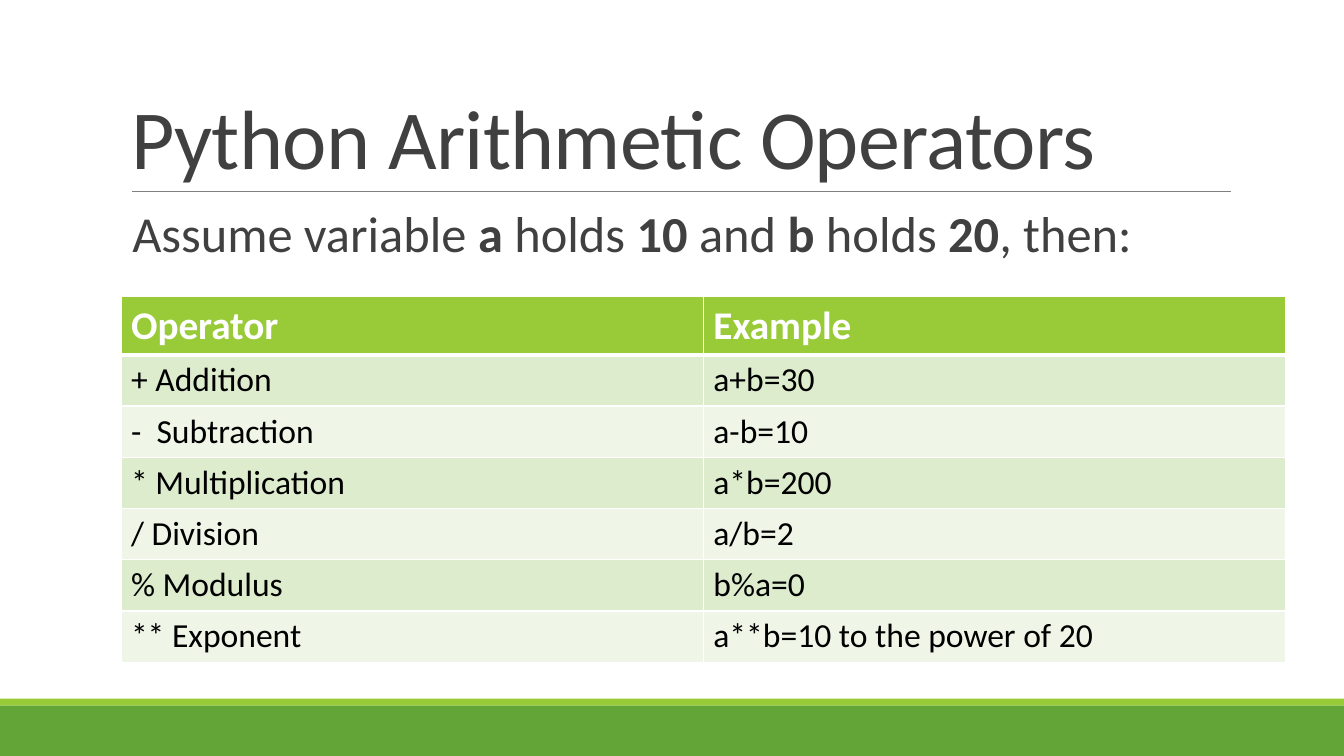
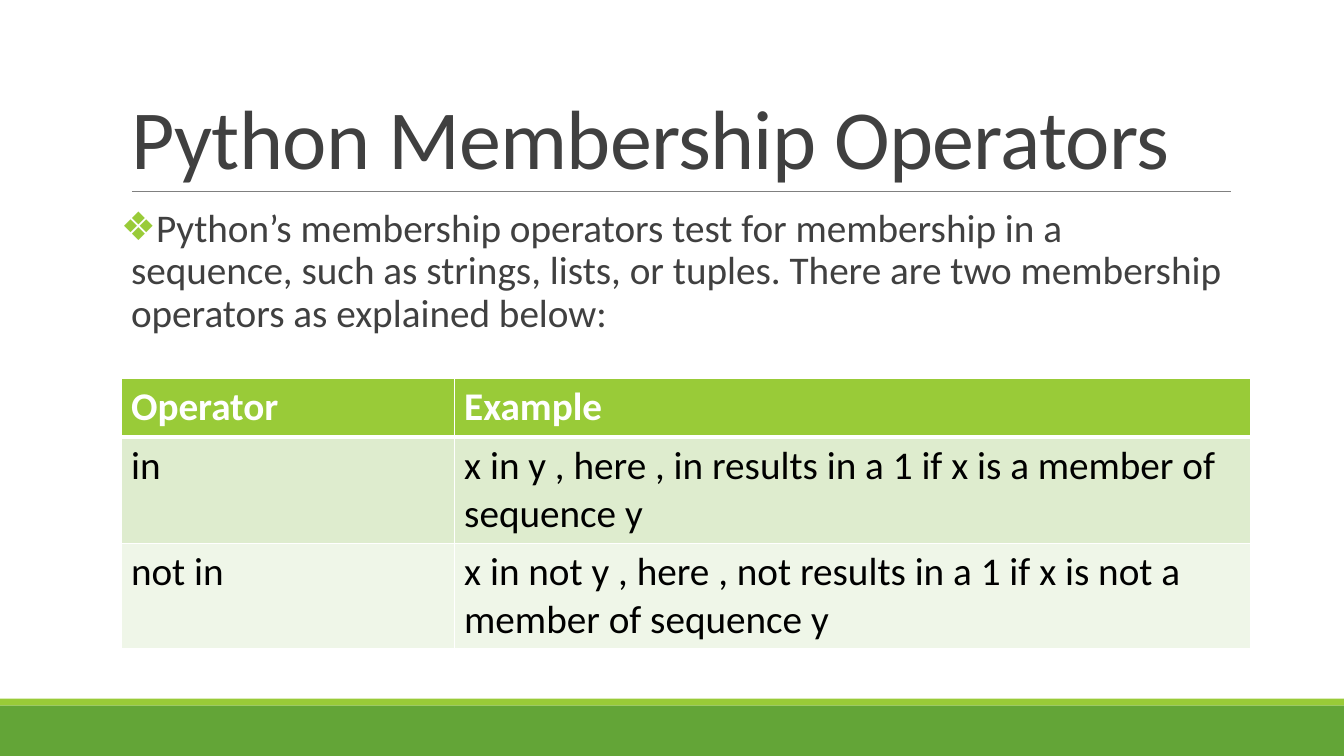
from lxml.etree import SubElement as Sub
from pptx import Presentation as Deck
from pptx.dml.color import RGBColor as Color
from pptx.enum.shapes import MSO_CONNECTOR as Link, MSO_SHAPE as Shape
from pptx.enum.text import MSO_ANCHOR as Anchor, MSO_AUTO_SIZE as Fit, PP_ALIGN as Align
from pptx.oxml.ns import qn
from pptx.util import Pt

GREEN = Color(0x63, 0xA5, 0x37)
LIME = Color(0x99, 0xCB, 0x38)
DARK = Color(0x40, 0x40, 0x40)
GREY = Color(0x80, 0x80, 0x80)
BLACK = Color(0, 0, 0)
WHITE = Color(0xFF, 0xFF, 0xFF)
TINTS = (Color(0xDE, 0xEC, 0xCE), Color(0xEF, 0xF6, 0xE8))

FONT = "Calibri"
WIDE, HIGH = 960, 540
LEFT = 86.4
TITLE = (LEFT, 22.5, 792, 114.5)
BODY_TOP, BODY_WIDE = 145.3, 792


def place(shape, box):
    shape.left, shape.top, shape.width, shape.height = map(Pt, box)


def add_run(para, text, size, color, bold=False):
    run = para.add_run()
    run.text = text
    font = run.font
    font.name, font.size, font.bold = FONT, Pt(size), bold
    font.color.rgb = color
    return run


def add_frame(slide, layout):
    """Build the bands and title rule, then move them to the shared layout."""
    bands = ((499, 5, LIME), (504, 36, GREEN))
    parts = []
    for top, high, color in bands:
        band = slide.shapes.add_shape(
            Shape.RECTANGLE, Pt(0), Pt(top), Pt(WIDE), Pt(high))
        band.shadow.inherit = False
        band.fill.solid()
        band.fill.fore_color.rgb = color
        band.line.fill.background()
        parts.append(band)
    rule = slide.shapes.add_connector(
        Link.STRAIGHT, Pt(94.3), Pt(136.8), Pt(879), Pt(136.8))
    rule.line.color.rgb = GREY
    rule.line.width = Pt(0.5)
    Sub(rule.element.spPr, qn("a:effectLst"))
    for part in parts + [rule]:
        layout.shapes.element.append(part.element)


def add_title(slide, box, text):
    title = slide.shapes.title
    place(title, box)
    frame = title.text_frame
    frame.word_wrap, frame.auto_size = True, Fit.NONE
    frame.vertical_anchor = Anchor.BOTTOM
    para = frame.paragraphs[0]
    para.alignment, para.line_spacing = Align.LEFT, 0.85
    run = add_run(para, text, 60, DARK)
    run.font._element.set("spc", "-50")


def add_bullet(para, mark):
    props = para._p.get_or_add_pPr()
    props.set("marL", str(Pt(7.2)))
    props.set("indent", str(Pt(-7.2)))
    tint = Sub(props, qn("a:buClr"))
    Sub(tint, qn("a:srgbClr"), val=str(LIME))
    Sub(props, qn("a:buFont"), typeface=FONT)
    Sub(props, qn("a:buChar"), char=mark)


def add_body(slide, box, mark, size, runs):
    body = slide.placeholders[1]
    place(body, box)
    frame = body.text_frame
    frame.word_wrap, frame.auto_size = True, Fit.NONE
    frame.vertical_anchor = Anchor.TOP
    frame.margin_left = frame.margin_right = 0
    frame.margin_top = frame.margin_bottom = Pt(3.6)
    para = frame.paragraphs[0]
    add_bullet(para, mark)
    para.alignment, para.line_spacing = Align.LEFT, 0.9
    para.space_before, para.space_after = Pt(0), Pt(2)
    for text, bold in runs:
        add_run(para, text, size, DARK, bold)


def add_edges(cell, top, bottom):
    """Draw white cell borders, which must precede the fill."""
    props = cell._tc.get_or_add_tcPr()
    sides = (("L", 1), ("R", 1), ("T", top), ("B", bottom))
    for spot, (side, width) in enumerate(sides):
        edge = Sub(props, qn("a:ln" + side), w=str(Pt(width)))
        fill = Sub(edge, qn("a:solidFill"))
        Sub(fill, qn("a:srgbClr"), val=str(WHITE))
        props.insert(spot, edge)


def add_grid(slide, spot, cols, highs, size, rows):
    """Place a table; highs holds the head height and the row height."""
    left, top = spot
    head, high = highs
    tall = head + high * (len(rows) - 1)
    grid = slide.shapes.add_table(
        len(rows), len(cols), Pt(left), Pt(top), Pt(sum(cols)), Pt(tall)).table
    for col, width in zip(grid.columns, cols):
        col.width = Pt(width)
    for r, texts in enumerate(rows):
        first = r == 0
        grid.rows[r].height = Pt(head if first else high)
        for c, text in enumerate(texts):
            cell = grid.cell(r, c)
            cell.fill.solid()
            cell.fill.fore_color.rgb = LIME if first else TINTS[(r - 1) % 2]
            add_edges(cell, 3 if r == 1 else 1, 3 if first else 1)
            add_run(cell.text_frame.paragraphs[0], text,
                    28 if first else size, WHITE if first else BLACK, first)


HEAD = ("Operator", "Example")

PAGES = (
    dict(
        title="Python Arithmetic Operators",
        mark=" ", size=36, high=347,
        runs=(("Assume variable ", False), ("a", True), (" holds ", False),
              ("10", True), (" and ", False), ("b", True),
              (" holds ", False), ("20", True), (", then:", False)),
        top=212, cols=(416, 416), highs=(40.6, 36.6), text=24,
        rows=(HEAD,
              ("+ Addition", "a+b=30"),
              ("-  Subtraction", "a-b=10"),
              ("* Multiplication", "a*b=200"),
              ("/ Division", "a/b=2"),
              ("% Modulus", "b%a=0"),
              ("** Exponent", "a**b=10 to the power of 20")),
    ),
    dict(
        title="Python Membership Operators",
        mark="❖", size=28, high=317,
        runs=(("Python’s membership operators test for membership in a "
               "sequence, such as strings, lists, or tuples. There are two "
               "membership operators as explained below:", False),),
        top=270.3, cols=(238, 569), highs=(42, 75.6), text=28,
        rows=(HEAD,
              ("in", "x in y , here , in results in a 1 if x is a member of "
                     "sequence y"),
              ("not in", "x in not y , here , not results in a 1 if x is not "
                         "a member of sequence y")),
    ),
)


def add_page(slide, page):
    add_title(slide, TITLE, page["title"])
    box = (LEFT, BODY_TOP, BODY_WIDE, page["high"])
    add_body(slide, box, page["mark"], page["size"], page["runs"])
    add_grid(slide, (LEFT, page["top"]), page["cols"], page["highs"],
             page["text"], page["rows"])


def main():
    deck = Deck()
    deck.slide_width, deck.slide_height = Pt(WIDE), Pt(HIGH)
    layout = deck.slide_layouts[1]
    slides = [deck.slides.add_slide(layout) for _ in PAGES]
    add_frame(slides[0], layout)
    for slide, page in zip(slides, PAGES):
        add_page(slide, page)
    deck.save("out.pptx")


if __name__ == "__main__":
    main()
